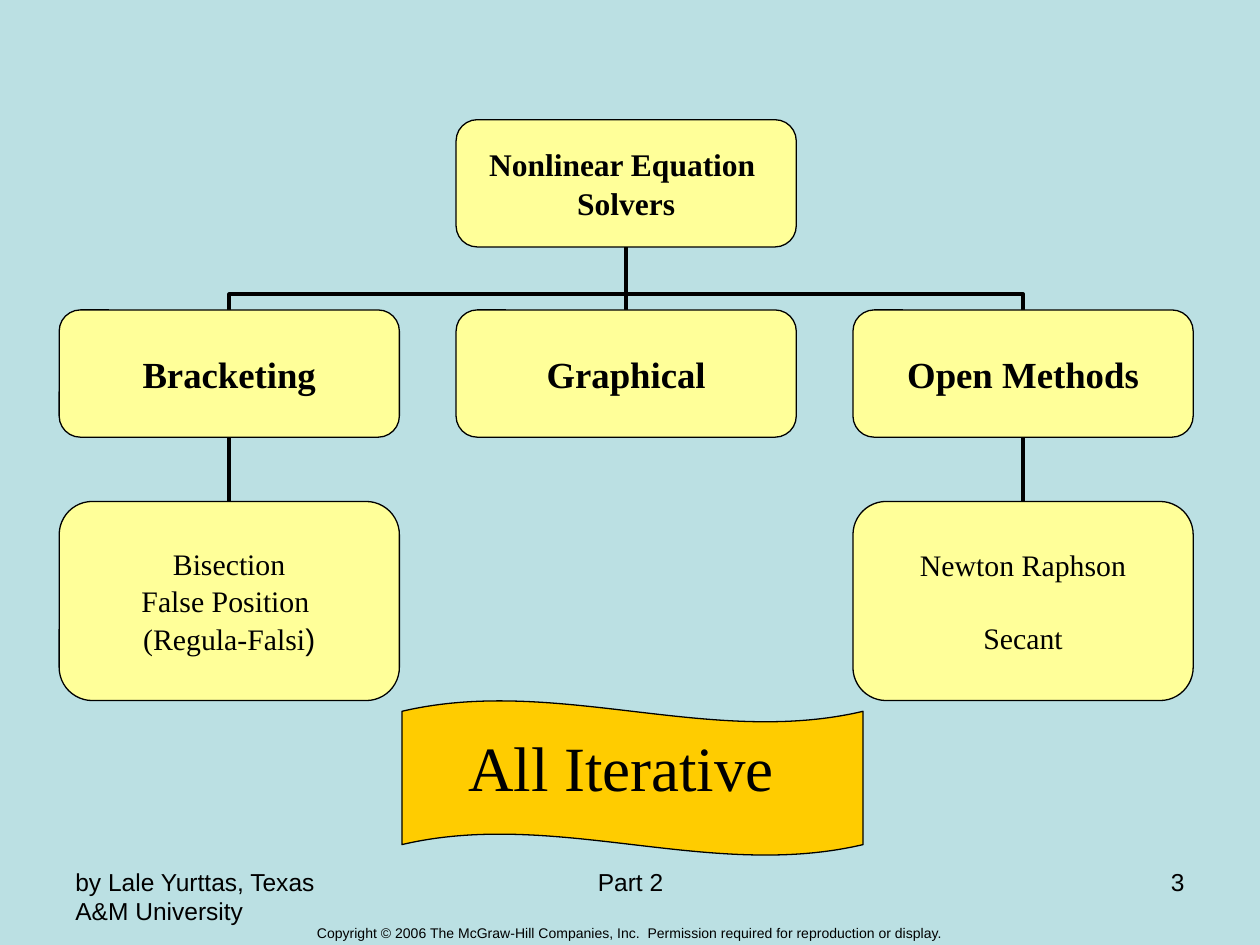
from dataclasses import dataclass

from lxml.etree import SubElement
from pptx import Presentation
from pptx.dml.color import RGBColor
from pptx.enum.shapes import MSO_CONNECTOR as Link, MSO_SHAPE as Shape
from pptx.enum.text import MSO_ANCHOR as Anchor, PP_ALIGN as Align
from pptx.oxml.ns import qn
from pptx.util import Inches, Pt


@dataclass(frozen=True)
class Theme:
    background: RGBColor = RGBColor(0xBB, 0xE0, 0xE3)
    node: RGBColor = RGBColor(0xFF, 0xFF, 0x99)
    banner: RGBColor = RGBColor(0xFF, 0xCC, 0x00)
    ink: RGBColor = RGBColor(0, 0, 0)
    serif: str = "Times New Roman"
    sans: str = "Arial"
    banner_size: float = 36
    branch_size: float = 21
    root_size: float = 18
    method_size: float = 17
    footer_size: float = 14
    copyright_size: float = 8
    outline: float = 0.75
    link: float = 2.25


THEME = Theme()
NODE_WIDTH, NODE_HEIGHT, METHOD_HEIGHT = 2.7, 1.01, 1.58
COLUMNS = [0.47 + 3.15 * column for column in range(3)]
ROOT_TOP, BRANCH_TOP, METHOD_TOP = 0.95, 2.46, 3.98


def write(frame, lines, size, font=THEME.serif, bold=False, align=Align.CENTER,
          anchor=Anchor.TOP, margins=(0.1, 0.05), wrap=True, gap=0):
    """Fill a frame; a line is a string or a list of (text, font) spans."""
    frame.word_wrap = wrap
    frame.vertical_anchor = anchor
    frame.margin_left = frame.margin_right = Inches(margins[0])
    frame.margin_top = frame.margin_bottom = Inches(margins[1])
    for index, line in enumerate(lines):
        para = frame.add_paragraph() if index else frame.paragraphs[0]
        para.alignment = align
        if index:
            para.space_before = Pt(gap)
        for text, span_font in ([(line, font)] if isinstance(line, str) else line):
            span = para.add_run()
            span.text = text
            span.font.name = span_font
            span.font.size = Pt(size)
            span.font.bold = bold
            span.font.color.rgb = THEME.ink


def add_text(page, left, top, width, height, lines, **style):
    box = page.shapes.add_textbox(*map(Inches, (left, top, width, height)))
    write(box.text_frame, lines, **style)


def add_outlined(page, kind, left, top, width, height, fill):
    shape = page.shapes.add_shape(kind, *map(Inches, (left, top, width, height)))
    shape.shadow.inherit = False
    shape.fill.solid()
    shape.fill.fore_color.rgb = fill
    shape.line.color.rgb = THEME.ink
    shape.line.width = Pt(THEME.outline)
    return shape


def add_node(page, column, top, lines, height=NODE_HEIGHT, **style):
    node = add_outlined(page, Shape.ROUNDED_RECTANGLE, COLUMNS[column], top,
                        NODE_WIDTH, height, THEME.node)
    write(node.text_frame, lines, anchor=Anchor.MIDDLE, margins=(0, 0),
          wrap=False, **style)


def add_link(page, kind, begin, end):
    link = page.shapes.add_connector(kind, *map(Inches, (*begin, *end)))
    link.line.color.rgb = THEME.ink
    link.line.width = Pt(THEME.link)
    properties = link._element.spPr
    SubElement(properties, qn("a:effectLst"))
    return properties


def add_drop(page, column, top, bottom):
    x = COLUMNS[column] + NODE_WIDTH / 2
    add_link(page, Link.STRAIGHT, (x, bottom), (x, top))


def add_branch(page, column):
    """Join an outer branch to the root with an elbow turned a quarter."""
    root_bottom = ROOT_TOP + NODE_HEIGHT
    run = (COLUMNS[1] - COLUMNS[column]) / 2
    rise = (BRANCH_TOP - root_bottom) / 2
    x = COLUMNS[1] + NODE_WIDTH / 2 - run
    y = root_bottom + rise
    side = 1 if run > 0 else -1
    properties = add_link(page, Link.ELBOW, (x + side * rise, y + abs(run)),
                          (x - side * rise, y - abs(run)))
    quarter_turns = 1 if side > 0 else 3
    properties.find(qn("a:xfrm")).set("rot", str(quarter_turns * 90 * 60000))
    adjustments = properties.find(qn("a:prstGeom")).find(qn("a:avLst"))
    SubElement(adjustments, qn("a:gd"), name="adj1", fmla="val 24700")


def add_banner(page):
    wave = add_outlined(page, Shape.WAVE, 3.19, 5.56, 3.66, 1.23, THEME.banner)
    wave.adjustments[0] = 0.07
    add_text(page, 0.43, 5.17, 9, 1.26, ["All Iterative"],
             size=THEME.banner_size, anchor=Anchor.BOTTOM)


def add_footer(page):
    for left, width, text, align in [
        (0.5, 2.33, "by Lale Yurttas, Texas A&M University", Align.LEFT),
        (3.42, 3.17, "Part 2", Align.CENTER),
        (7.17, 2.33, "3", Align.RIGHT),
    ]:
        add_text(page, left, 6.83, width, 0.52, [text], size=THEME.footer_size,
                 font=THEME.sans, align=align)
    add_text(page, 0, 7.29, 10, 0.24,
             ["Copyright © 2006 The McGraw-Hill Companies, Inc.  "
              "Permission required for reproduction or display."],
             size=THEME.copyright_size, font=THEME.sans)


def main():
    deck = Presentation()
    deck.slide_width, deck.slide_height = Inches(10), Inches(7.5)
    page = deck.slides.add_slide(deck.slide_layouts[6])
    page.background.fill.solid()
    page.background.fill.fore_color.rgb = THEME.background

    for column in (0, 2):
        add_branch(page, column)
        add_drop(page, column, BRANCH_TOP + NODE_HEIGHT, METHOD_TOP)
    add_drop(page, 1, ROOT_TOP + NODE_HEIGHT, BRANCH_TOP)

    add_node(page, 1, ROOT_TOP, ["Nonlinear Equation ", "Solvers"],
             size=THEME.root_size, bold=True, gap=1)
    for column, name in enumerate(["Bracketing", "Graphical", "Open Methods"]):
        add_node(page, column, BRANCH_TOP, [name], size=THEME.branch_size, bold=True)
    regula_falsi = [("(Regula-Falsi", THEME.serif), (")", THEME.sans)]
    for column, methods, gap in [
        (0, ["Bisection", "False Position ", regula_falsi], 1),
        (2, ["Newton Raphson", "Secant"], 21.5),
    ]:
        add_node(page, column, METHOD_TOP, methods, height=METHOD_HEIGHT,
                 size=THEME.method_size, gap=gap)

    add_banner(page)
    add_footer(page)
    deck.save("out.pptx")


if __name__ == "__main__":
    main()
